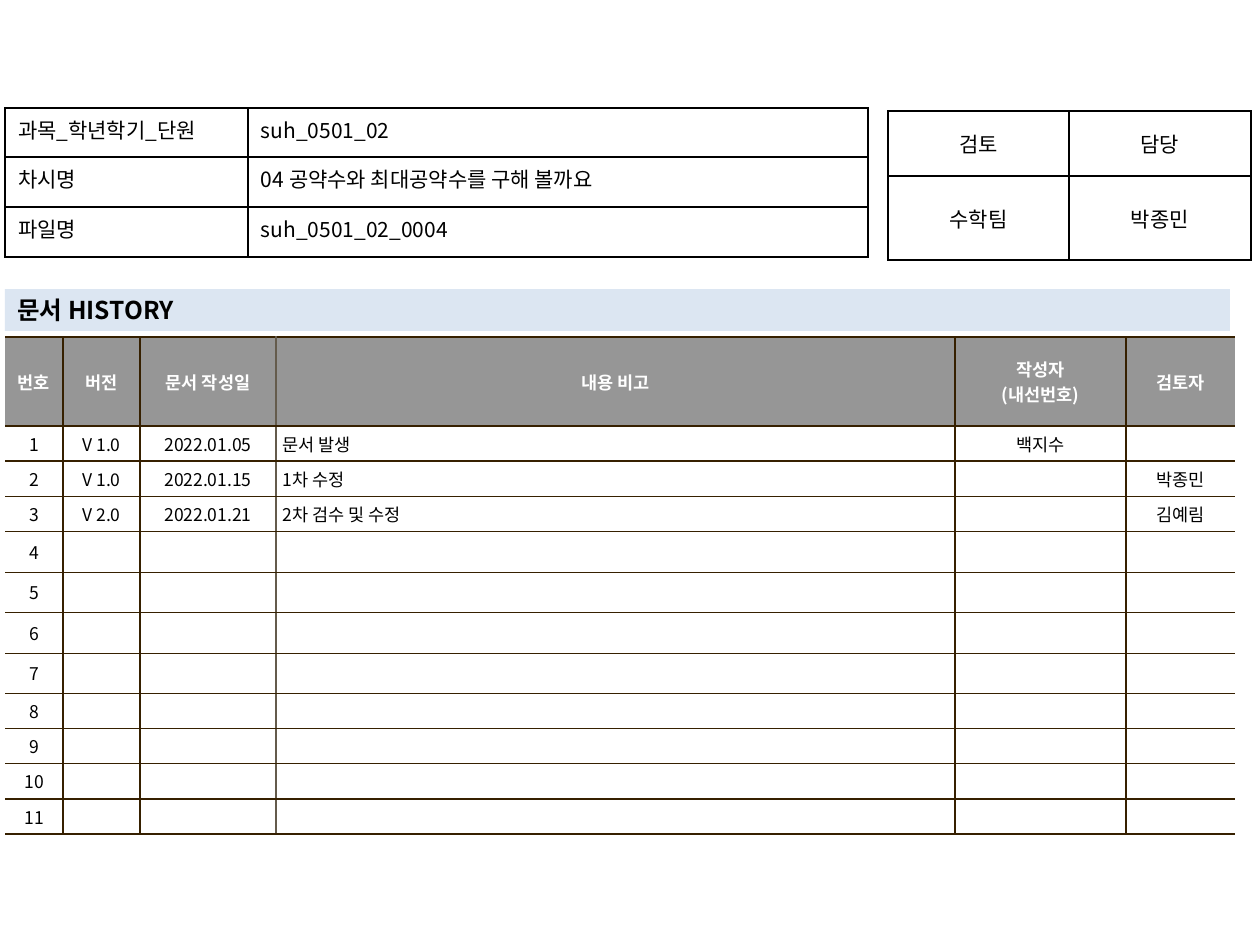
import pptx
import pptx.dml.color
import pptx.enum.shapes
import pptx.enum.text
import pptx.oxml.ns
import pptx.util
from lxml import etree

BLACK = pptx.dml.color.RGBColor(0x00, 0x00, 0x00)
WHITE = pptx.dml.color.RGBColor(0xFF, 0xFF, 0xFF)
GRAY = pptx.dml.color.RGBColor(0x96, 0x96, 0x96)
PALE_BLUE = pptx.dml.color.RGBColor(0xDC, 0xE6, 0xF2)
BROWN = pptx.dml.color.RGBColor(0x36, 0x20, 0x00)
TAUPE = pptx.dml.color.RGBColor(0x64, 0x5B, 0x4C)

LEFT = pptx.enum.text.PP_ALIGN.LEFT
CENTER = pptx.enum.text.PP_ALIGN.CENTER
JUSTIFY = pptx.enum.text.PP_ALIGN.JUSTIFY
TOP = pptx.enum.text.MSO_ANCHOR.TOP
MIDDLE = pptx.enum.text.MSO_ANCHOR.MIDDLE

PLAIN_TABLE = "{2D5ABB26-0587-4C30-8999-92F81FD0307C}"
qn = pptx.oxml.ns.qn


def px(length):
    return pptx.util.Emu(round(length * 914400 / 126))


class Page:
    def __init__(self, slide, font="Noto Sans CJK KR"):
        self.slide = slide
        self.font = font

    def add_text(self, frame, text, size, color=BLACK, bold=False, align=LEFT, hanging=0):
        for index, line in enumerate(text.split("\n")):
            paragraph = frame.paragraphs[0] if index == 0 else frame.add_paragraph()
            paragraph.alignment = align
            if hanging:
                properties = paragraph._p.get_or_add_pPr()
                properties.set("marL", str(px(hanging)))
                properties.set("indent", str(-px(hanging)))
            if not line:
                end = etree.SubElement(paragraph._p, qn("a:endParaRPr"))
                end.set("sz", str(size * 100))
                continue
            run = paragraph.add_run()
            run.text = line
            run.font.size = pptx.util.Pt(size)
            run.font.bold = bold
            run.font.color.rgb = color
            run.font.name = self.font
            east_asian = etree.SubElement(run.font._element, qn("a:ea"))
            east_asian.set("typeface", self.font)

    def bar(self, left, top, width, height, text, size, fill):
        bar = self.slide.shapes.add_shape(
            pptx.enum.shapes.MSO_SHAPE.RECTANGLE, px(left), px(top), px(width), px(height))
        bar.shadow.inherit = False
        bar.fill.solid()
        bar.fill.fore_color.rgb = fill
        bar.line.fill.background()
        bar.text_frame.word_wrap = True
        bar.text_frame.vertical_anchor = MIDDLE
        self.add_text(bar.text_frame, text, size, bold=True)

    def table(self, left, top, widths, heights):
        frame = self.slide.shapes.add_table(
            len(heights), len(widths), px(left), px(top), px(sum(widths)), px(sum(heights)))
        table = frame.table
        table.first_row = table.horz_banding = False
        table._tbl.tblPr.find(qn("a:tableStyleId")).text = PLAIN_TABLE
        for column, width in zip(table.columns, widths):
            column.width = px(width)
        for row, height in zip(table.rows, heights):
            row.height = px(height)
        return table

    def cell(self, cell, text, size, borders, margins=(13, 6), anchor=MIDDLE,
             fill=None, **style):
        cell.margin_left = cell.margin_right = px(margins[0])
        cell.margin_top = cell.margin_bottom = px(margins[1])
        cell.vertical_anchor = anchor
        if fill is None:
            cell.fill.background()
        else:
            cell.fill.solid()
            cell.fill.fore_color.rgb = fill
        self.add_text(cell.text_frame, text, size, **style)
        self.borders(cell, borders)

    def borders(self, cell, colors):
        properties = cell._tc.get_or_add_tcPr()
        for position, (side, color) in enumerate(zip("LRTB", colors)):
            line = etree.Element(qn(f"a:ln{side}"), w=str(pptx.util.Pt(1)))
            if color is None:
                etree.SubElement(line, qn("a:noFill"))
            else:
                solid = etree.SubElement(line, qn("a:solidFill"))
                etree.SubElement(solid, qn("a:srgbClr"), val=str(color))
            properties.insert(position, line)

    def small_table(self, left, top, widths, heights, rows, aligns, anchor):
        table = self.table(left, top, widths, heights)
        for r, row in enumerate(rows):
            for c, text in enumerate(row):
                self.cell(table.cell(r, c), text, 12, [BLACK] * 4,
                          anchor=anchor, align=aligns[c])

    def history_table(self, left, top, widths, heights, header, rows):
        table = self.table(left, top, widths, heights)
        verticals = [None, BROWN, BROWN, TAUPE, BROWN, BROWN, None]
        note, reviewer = 3, 5
        for r, row in enumerate([header, *rows]):
            for c, text in enumerate(row):
                if r == 0:
                    style = dict(fill=GRAY, color=WHITE, bold=True, align=CENTER)
                else:
                    style = dict(fill=WHITE, align=LEFT if c == note else CENTER,
                                 hanging={note: 24, reviewer: 11}.get(c, 0))
                self.cell(table.cell(r, c), text, 10,
                          [verticals[c], verticals[c + 1], BROWN, BROWN],
                          margins=(7, 5), **style)


def main():
    presentation = pptx.Presentation()
    presentation.slide_width = px(1260)
    presentation.slide_height = px(945)
    page = Page(presentation.slides.add_slide(presentation.slide_layouts[6]))

    header = ["번호", "버전", "문서 작성일", "내용 비고", "작성자\n(내선번호)", "검토자"]
    revisions = [
        ["V 1.0", "2022.01.05", "문서 발생", "백지수", ""],
        ["V 1.0", "2022.01.15", "1차 수정", "", "박종민"],
        ["V 2.0", "2022.01.21", "2차 검수 및 수정", "", "김예림"],
    ]
    revisions += [[""] * 5] * 8
    history = [[str(number), *entry] for number, entry in enumerate(revisions, 1)]
    page.history_table(5, 337, [58, 77, 136, 679, 171, 109],
                       [89] + [35] * 3 + [41, 40] * 2 + [35] * 4, header, history)

    page.small_table(888, 111, [181, 182], [65, 84],
                     [["검토", "담당"], ["수학팀", "박종민"]], [CENTER, CENTER], MIDDLE)

    page.bar(5, 289, 1225, 42, "문서 HISTORY", 14, PALE_BLUE)

    lesson = [
        ["과목_학년학기_단원", "suh_0501_02"],
        ["차시명", "04 공약수와 최대공약수를 구해 볼까요"],
        ["파일명", "suh_0501_02_0004"],
    ]
    page.small_table(5, 108, [243, 620], [49, 50, 50], lesson, [JUSTIFY, LEFT], TOP)

    presentation.save("out.pptx")


if __name__ == "__main__":
    main()
